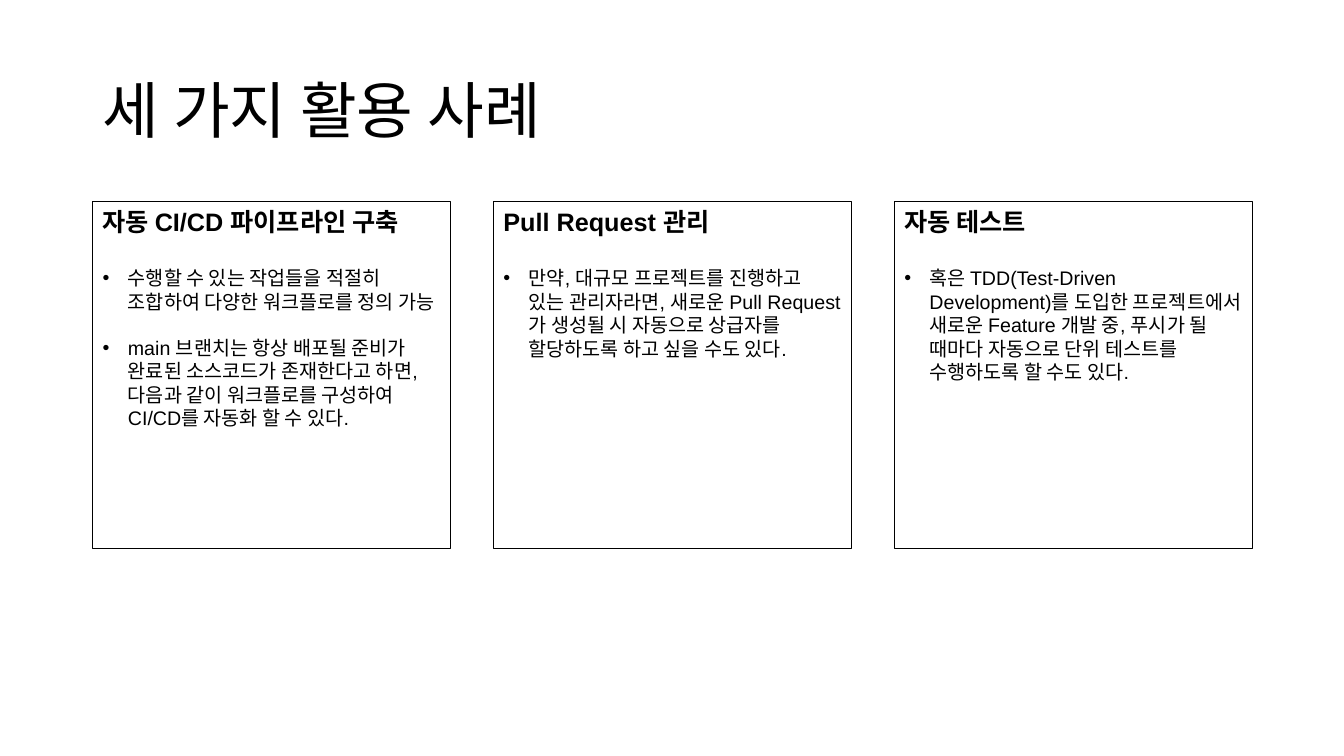
"""Build a slide with a title and three bordered use-case cards."""
from dataclasses import dataclass

import lxml.etree
import pptx
import pptx.dml.color
import pptx.enum.shapes
import pptx.enum.text
import pptx.oxml.ns
import pptx.util

Inches = pptx.util.Inches
Pt = pptx.util.Pt


@dataclass(frozen=True)
class Theme:
    ink: pptx.dml.color.RGBColor = pptx.dml.color.RGBColor(0, 0, 0)
    title_font: str = "Noto Sans CJK KR"
    body_font: str = "Arial"
    title_size: int = 44
    heading_size: int = 18
    bullet_size: int = 14
    heading_gap: int = 21
    bullet_gap: int = 16
    border: float = 0.75


THEME = Theme()
LEFT, CARD_TOP = 0.92, 2
CARD_WIDTH, CARD_HEIGHT, CARD_PITCH = 3.55, 3.44, 3.975

CARDS = [
    ("자동 CI/CD 파이프라인 구축", [
        "수행할 수 있는 작업들을 적절히 조합하여 다양한 워크플로를 정의 가능",
        "main 브랜치는 항상 배포될 준비가 완료된 소스코드가 존재한다고 하면, "
        "다음과 같이 워크플로를 구성하여 CI/CD를 자동화 할 수 있다.",
    ]),
    ("Pull Request 관리", [
        "만약, 대규모 프로젝트를 진행하고 있는 관리자라면, 새로운 Pull Request가 "
        "생성될 시 자동으로 상급자를 할당하도록 하고 싶을 수도 있다.",
    ]),
    ("자동 테스트", [
        "혹은 TDD(Test-Driven Development)를 도입한 프로젝트에서 새로운 Feature 개발 중, "
        "푸시가 될 때마다 자동으로 단위 테스트를 수행하도록 할 수도 있다.",
    ]),
]


def apply_format(target, values):
    for name, value in values.items():
        setattr(target, name, value)


def write_span(para, text, font, size, bold=False):
    span = para.add_run()
    span.text = text
    apply_format(span.font, {"name": font, "size": Pt(size), "bold": bold})
    span.font.color.rgb = THEME.ink
    return span


def add_bullet(para):
    properties = para._p.get_or_add_pPr()
    properties.set("marL", str(Inches(0.25)))
    properties.set("indent", str(Inches(-0.25)))
    for tag, name, value in (("a:buFont", "typeface", THEME.body_font),
                             ("a:buChar", "char", "•")):
        mark = lxml.etree.SubElement(properties, pptx.oxml.ns.qn(tag))
        mark.set(name, value)


def add_title(page, text):
    box = page.shapes.add_textbox(Inches(LEFT), Inches(0.4), Inches(11.5), Inches(1.45))
    apply_format(box.text_frame, {
        "word_wrap": True,
        "vertical_anchor": pptx.enum.text.MSO_ANCHOR.MIDDLE,
    })
    para = box.text_frame.paragraphs[0]
    para.line_spacing = 0.9
    span = write_span(para, text, THEME.title_font, THEME.title_size)
    east_asian = lxml.etree.SubElement(span.font._element, pptx.oxml.ns.qn("a:ea"))
    east_asian.set("typeface", THEME.title_font)


def add_card(page, left, heading, bullets):
    card = page.shapes.add_shape(
        pptx.enum.shapes.MSO_SHAPE.RECTANGLE,
        Inches(left), Inches(CARD_TOP), Inches(CARD_WIDTH), Inches(CARD_HEIGHT))
    card.shadow.inherit = False
    card.fill.background()
    card.line.color.rgb = THEME.ink
    card.line.width = Pt(THEME.border)
    frame = card.text_frame
    apply_format(frame, {
        "word_wrap": True,
        "vertical_anchor": pptx.enum.text.MSO_ANCHOR.TOP,
    })
    para = frame.paragraphs[0]
    para.alignment = pptx.enum.text.PP_ALIGN.LEFT
    write_span(para, heading, THEME.body_font, THEME.heading_size, bold=True)
    for index, text in enumerate(bullets):
        para = frame.add_paragraph()
        add_bullet(para)
        apply_format(para, {
            "alignment": pptx.enum.text.PP_ALIGN.LEFT,
            "space_before": Pt(THEME.bullet_gap if index else THEME.heading_gap),
        })
        write_span(para, text, THEME.body_font, THEME.bullet_size)


def main():
    deck = pptx.Presentation()
    apply_format(deck, {"slide_width": Inches(13.33), "slide_height": Inches(7.5)})
    page = deck.slides.add_slide(deck.slide_layouts[6])
    add_title(page, "세 가지 활용 사례")
    for index, (heading, bullets) in enumerate(CARDS):
        add_card(page, LEFT + index * CARD_PITCH, heading, bullets)
    deck.save("out.pptx")


if __name__ == "__main__":
    main()
